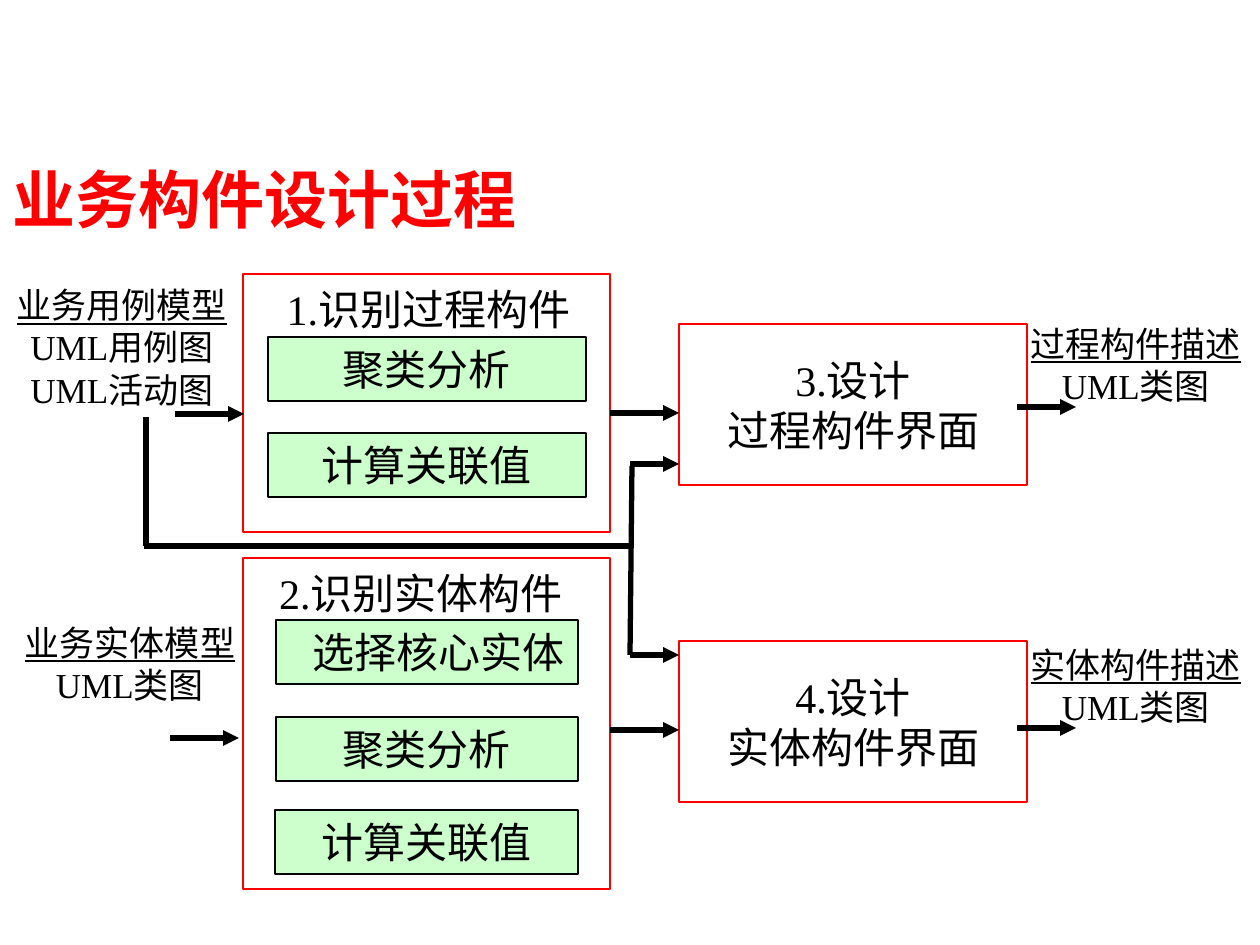
import pptx
import pptx.dml.color
import pptx.enum.shapes
import pptx.enum.text
import pptx.oxml
import pptx.oxml.ns
import pptx.util

PX = 914400 / 126
COLORS = {"red": "FF0000", "black": "000000", "white": "FFFFFF", "green": "CCFFCC"}
FONT = "Times New Roman"
ALIGN = pptx.enum.text.PP_ALIGN
ANCHOR = pptx.enum.text.MSO_ANCHOR


def px(value):
    return pptx.util.Emu(round(value * PX))


def color(name):
    return pptx.dml.color.RGBColor.from_string(COLORS[name])


def write(frame, text, *, size=24, ink="black", bold=False, align=ALIGN.CENTER,
          anchor=ANCHOR.TOP, side=0, underline_first=False):
    frame.word_wrap = True
    frame.vertical_anchor = anchor
    frame.margin_left = frame.margin_right = px(side)
    frame.margin_top = frame.margin_bottom = px(6)
    for index, line in enumerate(text.split("\n")):
        para = frame.add_paragraph() if index else frame.paragraphs[0]
        para.alignment = align
        span = para.add_run()
        span.text = line
        span.font.name = FONT
        span.font.size = pptx.util.Pt(size)
        span.font.bold = bold
        span.font.underline = underline_first and index == 0
        span.font.color.rgb = color(ink)


class Diagram:
    def __init__(self, page):
        self.page = page
        self.border = pptx.util.Pt(0.75)
        self.stroke = pptx.util.Pt(3)

    def label(self, left, top, width, height, text, **style):
        box = self.page.shapes.add_textbox(px(left), px(top), px(width), px(height))
        write(box.text_frame, text, **style)

    def rectangle(self, left, top, width, height, text="", *, fill="white", edge="red", align=ALIGN.CENTER):
        box = self.page.shapes.add_shape(
            pptx.enum.shapes.MSO_SHAPE.RECTANGLE, px(left), px(top), px(width), px(height))
        box.shadow.inherit = False
        box.fill.solid()
        box.fill.fore_color.rgb = color(fill)
        box.line.color.rgb = color(edge)
        box.line.width = self.border
        if text:
            write(box.text_frame, text, align=align, anchor=ANCHOR.MIDDLE, side=13)

    def step(self, left, top, width, text, **style):
        self.rectangle(left, top, width, 64, text, fill="green", edge="black", **style)

    def line(self, x1, y1, x2, y2, arrow=False):
        link = self.page.shapes.add_connector(
            pptx.enum.shapes.MSO_CONNECTOR.STRAIGHT, px(x1), px(y1), px(x2), px(y2))
        link.line.color.rgb = color("black")
        link.line.width = self.stroke
        if arrow:
            head = pptx.oxml.parse_xml(
                f'<a:tailEnd {pptx.oxml.ns.nsdecls("a")} type="triangle"/>')
            link.line._get_or_add_ln().append(head)
        link._element.spPr.append(
            pptx.oxml.parse_xml(f'<a:effectLst {pptx.oxml.ns.nsdecls("a")}/>'))


def main():
    deck = pptx.Presentation()
    deck.slide_width, deck.slide_height = px(1260), px(945)
    diagram = Diagram(deck.slides.add_slide(deck.slide_layouts[6]))

    diagram.label(0, 155, 1126, 88, "业务构件设计过程", size=36, ink="red", bold=True,
                  align=ALIGN.LEFT, side=13)

    diagram.rectangle(243, 274, 367, 258)
    diagram.label(257, 278, 343, 63, "1.识别过程构件")
    diagram.step(268, 337, 318, "聚类分析")
    diagram.step(268, 433, 318, "计算关联值")

    diagram.rectangle(243, 558, 367, 331)
    diagram.label(257, 562, 328, 63, "2.识别实体构件")
    diagram.step(276, 620, 302, "选择核心实体", align=ALIGN.RIGHT)
    diagram.step(276, 717, 302, "聚类分析")
    diagram.step(275, 810, 303, "计算关联值")

    for top, text in ((324, "3.设计\n过程构件界面"), (641, "4.设计\n实体构件界面")):
        diagram.rectangle(679, top, 348, 161, text)

    for left, top, height, text in (
        (1022, 316, 97, "过程构件描述\nUML类图"),
        (1022, 637, 97, "实体构件描述\nUML类图"),
        (8, 278, 139, "业务用例模型\nUML用例图\nUML活动图"),
        (16, 615, 97, "业务实体模型\nUML类图"),
    ):
        diagram.label(left, top, 228, height, text, size=20, underline_first=True)

    for start, end, y in (
        (1017, 1076, 407), (1017, 1076, 728),
        (610, 679, 413), (610, 679, 730),
        (175, 244, 414), (170, 239, 738),
        (630, 679, 464), (630, 679, 655),
    ):
        diagram.line(start, y, end, y, arrow=True)

    for ends in ((146, 417, 146, 546), (144, 546, 630, 546), (632, 466, 630, 655)):
        diagram.line(*ends)

    deck.save("out.pptx")


if __name__ == "__main__":
    main()
